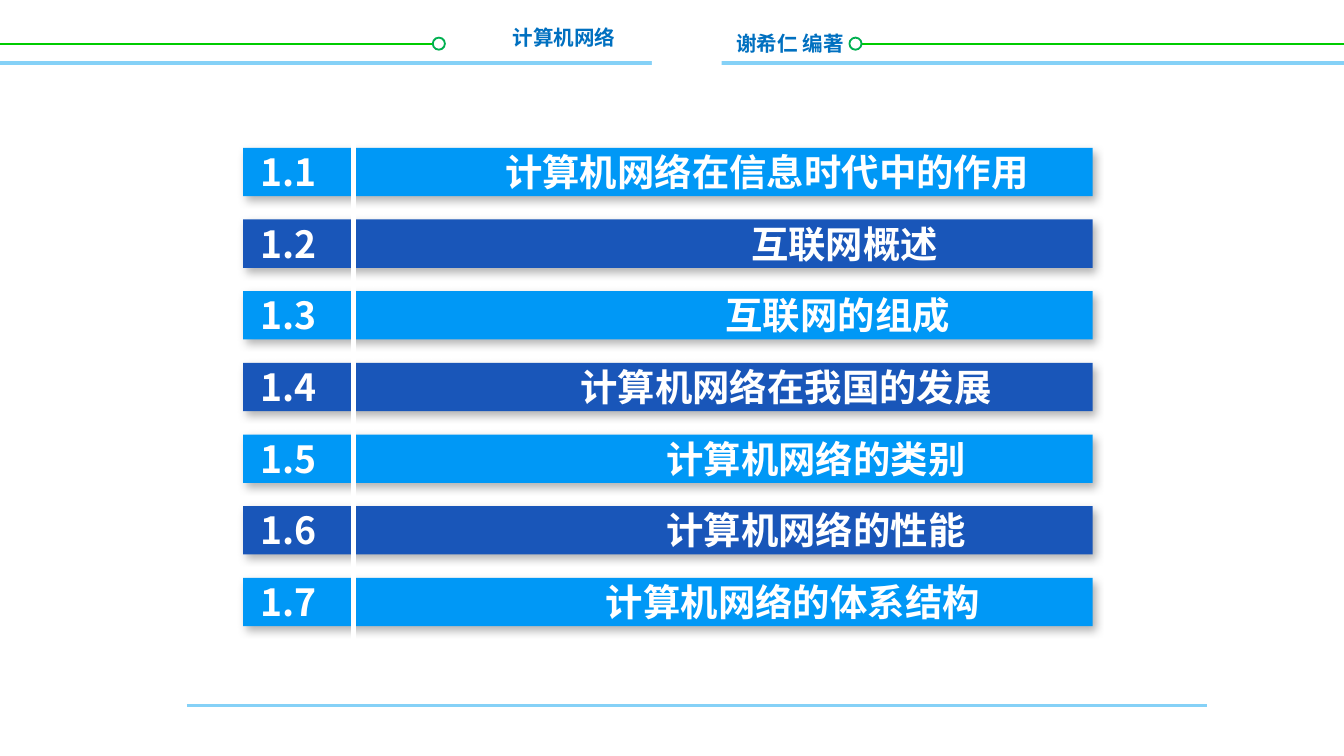
import dataclasses

import pptx
import pptx.dml.color
import pptx.enum.shapes
import pptx.enum.text
import pptx.oxml
import pptx.oxml.ns
import pptx.util
from lxml import etree

Inches, Pt = pptx.util.Inches, pptx.util.Pt
RGB = pptx.dml.color.RGBColor.from_string
SHAPE = pptx.enum.shapes.MSO_SHAPE
ALIGN = pptx.enum.text.PP_ALIGN
qn = pptx.oxml.ns.qn
WIDE = 10
HIGH = WIDE * 9 / 16


@dataclasses.dataclass(frozen=True)
class Theme:
    font: str = "Noto Sans CJK SC"
    white: str = "FFFFFF"
    bars: tuple = ("0098F6", "1956B9")
    label: str = "0070C0"
    wire: str = "00CC00"
    ring: str = "00B050"
    rule: str = "85D1F7"
    small: int = 11
    large: int = 20


@dataclasses.dataclass(frozen=True)
class Box:
    left: float
    top: float
    width: float
    height: float

    def emu(self) -> list:
        return [Inches(v) for v in dataclasses.astuple(self)]


@dataclasses.dataclass(frozen=True)
class Line:
    start: tuple
    end: tuple
    color: str
    weight: float


@dataclasses.dataclass(frozen=True)
class Topic:
    number: str
    title: str
    tab: float  # where the title starts, from the text edge


THEME = Theme()

# Grid of the topic bars
LEFT, TOP, BAR, TALL, LAST = 1.81, 1.1, 6.32, 0.36, 4.3
TOPICS = [
    Topic("1.1", "计算机网络在信息时代中的作用", 1.82),
    Topic("1.2", "互联网概述", 3.65),
    Topic("1.3", "互联网的组成", 3.46),
    Topic("1.4", "计算机网络在我国的发展", 2.38),
    Topic("1.5", "计算机网络的类别", 3.02),
    Topic("1.6", "计算机网络的性能", 3.02),
    Topic("1.7", "计算机网络的体系结构", 2.57),
]
PITCH = (LAST - TOP) / (len(TOPICS) - 1)


def draw_line(slide, line: Line) -> None:
    ends = [Inches(v) for v in line.start + line.end]
    wire = slide.shapes.add_connector(pptx.enum.shapes.MSO_CONNECTOR.STRAIGHT, *ends)
    wire.line.color.rgb = RGB(line.color)
    wire.line.width = Pt(line.weight)
    etree.SubElement(wire._element.spPr, qn("a:effectLst"))


def draw_shape(slide, kind, box: Box, fill: str, edge: str = ""):
    shape = slide.shapes.add_shape(kind, *box.emu())
    shape.shadow.inherit = False
    shape.fill.solid()
    shape.fill.fore_color.rgb = RGB(fill)
    if edge:
        shape.line.color.rgb = RGB(edge)
        shape.line.width = Pt(1)
    else:
        shape.line.fill.background()
    return shape


def add_shade(shape) -> None:
    effects = shape._element.spPr.find(qn("a:effectLst"))
    shade = etree.SubElement(
        effects, qn("a:outerShdw"), blurRad=str(Pt(4.5)), dist=str(Pt(2.6)),
        dir=str(53 * 60000), algn="tl", rotWithShape="0")
    color = etree.SubElement(shade, qn("a:srgbClr"), val="000000")
    etree.SubElement(color, qn("a:alpha"), val="30000")


def draw_text(slide, box: Box, text: str, size: int, color: str,
              align=ALIGN.LEFT, tab: float = 0) -> None:
    frame = slide.shapes.add_textbox(*box.emu()).text_frame
    frame.word_wrap = True
    para = frame.paragraphs[0]
    para.text = text
    para.alignment = align
    if tab:
        tabs = etree.SubElement(para._p.pPr, qn("a:tabLst"))
        etree.SubElement(tabs, qn("a:tab"), pos=str(Inches(tab)), algn="l")
    font = para.font
    font.size, font.bold, font.name = Pt(size), True, THEME.font
    font.color.rgb = RGB(color)
    # Chinese glyphs take the East Asian font
    props = para._p.pPr.find(qn("a:defRPr"))
    etree.SubElement(props, qn("a:ea"), typeface=THEME.font)


def draw_frame(slide) -> None:
    # Header wires, rings and labels
    ring, axis = 0.09, 0.33
    for start, end, left in ((0, 3.24, 3.22), (6.32, WIDE, 6.32)):
        draw_line(slide, Line((start, axis), (end, axis), THEME.wire, 1))
        draw_shape(slide, SHAPE.OVAL, Box(left, 0.28, ring, ring),
                   THEME.white, THEME.ring)
    draw_text(slide, Box(3.71, 0.14, 0.97, 0.29), "计算机网络",
              THEME.small, THEME.label, ALIGN.RIGHT)
    draw_text(slide, Box(5.38, 0.18, 1.16, 0.29), "谢希仁 编著",
              THEME.small, THEME.label)
    # Footer rule, and header rule with a gap in the middle
    draw_line(slide, Line((1.39, 5.25), (8.98, 5.25), THEME.rule, 1.5))
    draw_line(slide, Line((0, 0.47), (WIDE, 0.47), THEME.rule, 2))
    draw_shape(slide, SHAPE.RECTANGLE, Box(4.85, 0.14, 0.52, 0.51), THEME.white)


def draw_topics(slide) -> None:
    # Bars in two turns of colour
    for row in range(len(TOPICS)):
        box = Box(LEFT, TOP + row * PITCH, BAR, TALL)
        fill = THEME.bars[row % len(THEME.bars)]
        add_shade(draw_shape(slide, SHAPE.RECTANGLE, box, fill))
    # Divider between numbers and titles
    draw_line(slide, Line((2.63, 0.9), (2.63, 5.18), THEME.white, 2.25))
    # Numbers and titles
    for row, topic in enumerate(TOPICS):
        box = Box(LEFT + 0.03, TOP - 0.04 + row * PITCH, BAR, 0.44)
        draw_text(slide, box, f"{topic.number}\t{topic.title}",
                  THEME.large, THEME.white, tab=topic.tab)


def main() -> None:
    deck = pptx.Presentation()
    deck.slide_width, deck.slide_height = Inches(WIDE), Inches(HIGH)
    slide = deck.slides.add_slide(deck.slide_layouts.get_by_name("Blank"))
    draw_frame(slide)
    draw_topics(slide)
    deck.save("out.pptx")


if __name__ == "__main__":
    main()
